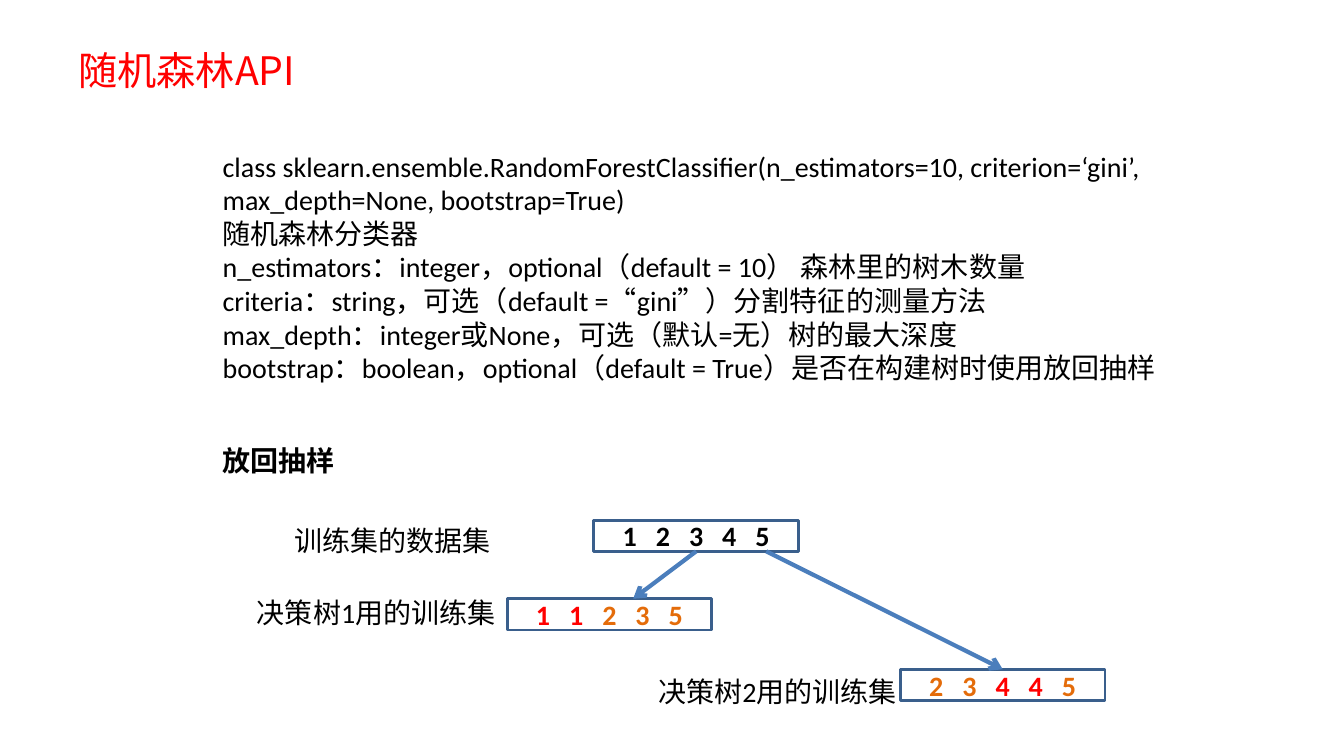
from dataclasses import dataclass

from lxml import etree
from pptx import Presentation
from pptx import util as u
from pptx.dml.color import RGBColor
from pptx.enum import shapes, text
from pptx.oxml import ns

PX = 9144
BLACK = RGBColor(0x00, 0x00, 0x00)
WHITE = RGBColor(0xFF, 0xFF, 0xFF)
RED = RGBColor(0xFF, 0x00, 0x00)
ORANGE = RGBColor(0xE4, 0x6C, 0x0A)
BORDER = RGBColor(0x3A, 0x5F, 0x8C)
ARROW = RGBColor(0x4B, 0x7E, 0xBC)
SAMPLE_WIDTH, SAMPLE_HEIGHT = 203, 31
DIGIT_SPACING = "450"


@dataclass(frozen=True)
class Span:
    words: str
    color: RGBColor = BLACK


@dataclass(frozen=True)
class Label:
    left: int
    top: int
    width: int
    height: int
    lines: tuple[str, ...]
    size: int = 20
    font: str = "Calibri"
    color: RGBColor = BLACK
    bold: bool = False


@dataclass(frozen=True)
class Sample:
    left: int
    top: int
    spans: tuple[Span, ...]


LABELS = (
    Label(68, 41, 241, 57, ("随机森林API",), 28, "Noto Sans CJK SC", RED),
    Label(211, 143, 952, 246, (
        "class sklearn.ensemble.RandomForestClassifier(n_estimators=10, "
        "criterion=‘gini’, max_depth=None, bootstrap=True)",
        "随机森林分类器",
        "n_estimators：integer，optional（default = 10） 森林里的树木数量",
        "criteria：string，可选（default =“gini”）分割特征的测量方法",
        "max_depth：integer或None，可选（默认=无）树的最大深度",
        "bootstrap：boolean，optional（default = True）是否在构建树时使用放回抽样",
    )),
    Label(211, 435, 133, 44, ("放回抽样",), bold=True),
    Label(282, 514, 217, 44, ("训练集的数据集",)),
    Label(245, 586, 259, 44, ("决策树1用的训练集",)),
    Label(643, 664, 259, 44, ("决策树2用的训练集",)),
)
TRAINING_SET = Sample(589, 516, (Span("1 2 3 4 5"),))
TREE_ONE = Sample(503, 594, (Span("1 1 ", RED), Span("2 3 5", ORANGE)))
TREE_TWO = Sample(893, 664, (Span("2 3 ", ORANGE), Span("4 4 ", RED), Span("5", ORANGE)))


def px(*lengths: int) -> list[u.Emu]:
    return [u.Emu(length * PX) for length in lengths]


def add_span(para, words: str, size: int, font: str, color: RGBColor, bold: bool):
    span = para.add_run()
    span.text = words
    span.font.size = u.Pt(size)
    span.font.name = font
    span.font.bold = bold
    span.font.color.rgb = color
    return span


def draw_label(page, label: Label) -> None:
    box = page.shapes.add_textbox(*px(label.left, label.top, label.width, label.height))
    frame = box.text_frame
    frame.word_wrap = True
    frame.auto_size = text.MSO_AUTO_SIZE.SHAPE_TO_FIT_TEXT
    for index, line in enumerate(label.lines):
        para = frame.add_paragraph() if index else frame.paragraphs[0]
        add_span(para, line, label.size, label.font, label.color, label.bold)


def draw_sample(page, sample: Sample):
    box = page.shapes.add_shape(
        shapes.MSO_SHAPE.RECTANGLE,
        *px(sample.left, sample.top, SAMPLE_WIDTH, SAMPLE_HEIGHT),
    )
    box.shadow.inherit = False
    box.fill.solid()
    box.fill.fore_color.rgb = WHITE
    box.line.color.rgb = BORDER
    box.line.width = u.Pt(2)
    box.text_frame.vertical_anchor = text.MSO_ANCHOR.MIDDLE
    para = box.text_frame.paragraphs[0]
    para.alignment = text.PP_ALIGN.CENTER
    for part in sample.spans:
        span = add_span(para, part.words, 20, "Calibri", part.color, True)
        span._r.get_or_add_rPr().set("spc", DIGIT_SPACING)
    return box


def draw_arrow(page, start: tuple[int, int], end: tuple[int, int]):
    arrow = page.shapes.add_connector(shapes.MSO_CONNECTOR.STRAIGHT, *px(*start, *end))
    arrow.line.color.rgb = ARROW
    arrow.line.width = u.Pt(3)
    line = arrow.line._get_or_add_ln()
    etree.SubElement(line, ns.qn("a:tailEnd"), type="arrow")
    etree.SubElement(arrow._element.spPr, ns.qn("a:effectLst"))
    return arrow


def main() -> None:
    deck = Presentation()
    deck.slide_width, deck.slide_height = px(1333, 750)
    page = deck.slides.add_slide(deck.slide_layouts[6])
    for label in LABELS:
        draw_label(page, label)
    training_box, _, tree_two_box = [
        draw_sample(page, sample) for sample in (TRAINING_SET, TREE_ONE, TREE_TWO)
    ]
    draw_arrow(page, (690, 547), (628, 594)).begin_connect(training_box, 2)
    draw_arrow(page, (760, 547), (995, 664)).end_connect(tree_two_box, 0)
    deck.save("out.pptx")


if __name__ == "__main__":
    main()
